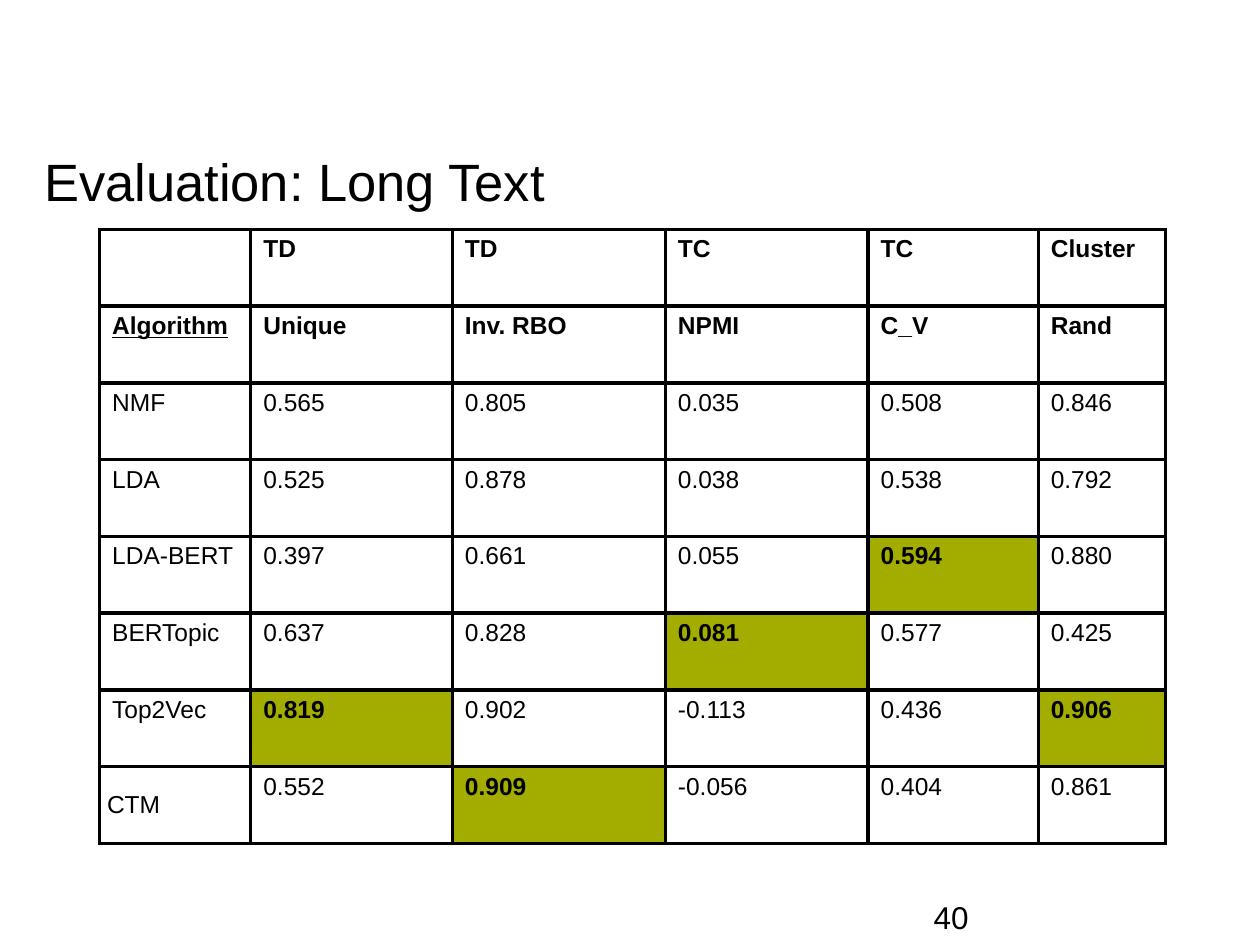
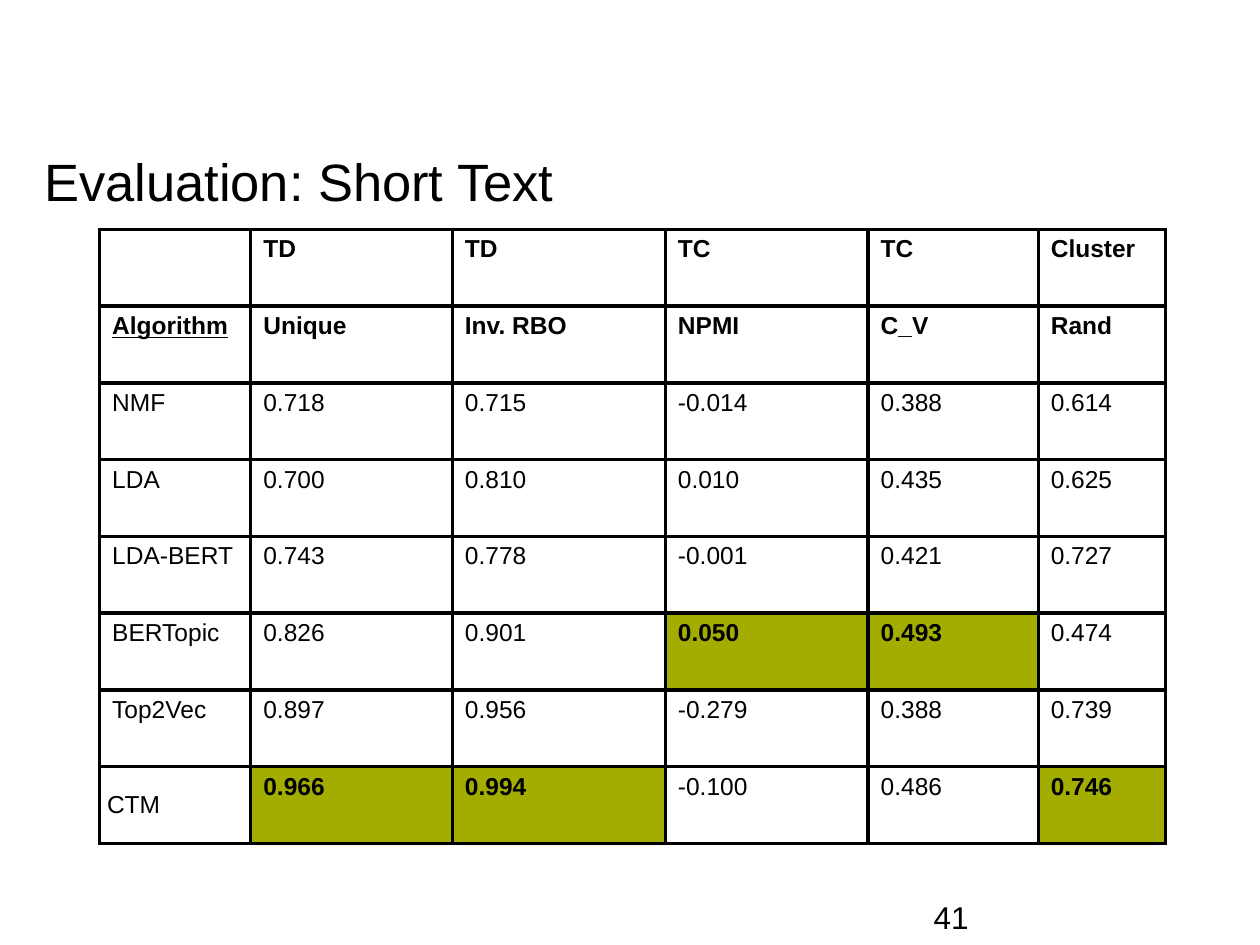
"""Build two slides comparing topic-model scores on long and short texts."""
from lxml import etree
from pptx import Presentation
from pptx.dml.color import RGBColor
from pptx.enum import text
from pptx.oxml import ns
from pptx.util import Pt

HEADERS = [
    ("", "TD", "TD", "TC", "TC", "Cluster"),
    ("Algorithm", "Unique", "Inv. RBO", "NPMI", "C_V", "Rand"),
]
ALGORITHMS = ["NMF", "LDA", "LDA-BERT", "BERTopic", "Top2Vec", "CTM"]
EVALUATIONS = [
    {"title": "Evaluation: Long Text", "number": 40, "scores": [
        (0.565, 0.805, 0.035, 0.508, 0.846),
        (0.525, 0.878, 0.038, 0.538, 0.792),
        (0.397, 0.661, 0.055, 0.594, 0.880),
        (0.637, 0.828, 0.081, 0.577, 0.425),
        (0.819, 0.902, -0.113, 0.436, 0.906),
        (0.552, 0.909, -0.056, 0.404, 0.861),
    ]},
    {"title": "Evaluation: Short Text", "number": 41, "scores": [
        (0.718, 0.715, -0.014, 0.388, 0.614),
        (0.700, 0.810, 0.010, 0.435, 0.625),
        (0.743, 0.778, -0.001, 0.421, 0.727),
        (0.826, 0.901, 0.050, 0.493, 0.474),
        (0.897, 0.956, -0.279, 0.388, 0.739),
        (0.966, 0.994, -0.100, 0.486, 0.746),
    ]},
]

COLOURS = {"text": "000000", "border": "000000", "best": "A2AD00"}
FONT = "Arial"
TITLE_BOX = (25.2, 79.2, 669.6, 32.4)
NUMBER_BOX = (533.5, 509.8, 161.3, 28.8)
TABLE_LEFT, TABLE_TOP = 56.9, 131
COLUMN_WIDTHS = [86.4, 115.2, 121.7, 115.9, 97.2, 72.7]
ROW_HEIGHT = 43.9
BORDER_WIDTH = 2.21

TITLE_FRAME = {"margin_left": 0, "margin_right": 0, "margin_top": Pt(3.6),
               "margin_bottom": 0, "word_wrap": True,
               "vertical_anchor": text.MSO_ANCHOR.TOP,
               "auto_size": text.MSO_AUTO_SIZE.NONE}
NUMBER_FRAME = {"margin_left": 0, "margin_right": 0, "word_wrap": True,
                "vertical_anchor": text.MSO_ANCHOR.MIDDLE}
CELL_FORMAT = {"margin_left": Pt(7.2), "margin_right": Pt(7.2),
               "margin_top": Pt(3.6), "margin_bottom": Pt(3.6)}
LAST_NAME_FORMAT = {"margin_left": Pt(4.3), "margin_right": Pt(4.3),
                    "vertical_anchor": text.MSO_ANCHOR.MIDDLE}


def apply(target, values):
    for name, value in values.items():
        setattr(target, name, value)


def write(paragraph, words, size, **styles):
    paragraph.alignment = text.PP_ALIGN.LEFT
    run = paragraph.add_run()
    run.text = words
    apply(run.font, {"name": FONT, "size": Pt(size), **styles})
    run.font.color.rgb = RGBColor.from_string(COLOURS["text"])


def draw_borders(cell):
    properties = cell._tc.get_or_add_tcPr()
    for position, side in enumerate(("lnL", "lnR", "lnT", "lnB")):
        line = etree.Element(ns.qn(f"a:{side}"), w=str(Pt(BORDER_WIDTH)))
        fill = etree.SubElement(line, ns.qn("a:solidFill"))
        etree.SubElement(fill, ns.qn("a:srgbClr"), val=COLOURS["border"])
        properties.insert(position, line)


def add_title(slide, words):
    title = slide.shapes.title
    apply(title, dict(zip(("left", "top", "width", "height"), map(Pt, TITLE_BOX))))
    apply(title.text_frame, TITLE_FRAME)
    paragraph = title.text_frame.paragraphs[0]
    paragraph.line_spacing = 1.06
    write(paragraph, words, 30)


def add_number(slide, number):
    frame = slide.shapes.add_textbox(*map(Pt, NUMBER_BOX)).text_frame
    apply(frame, NUMBER_FRAME)
    write(frame.paragraphs[0], str(number), 18)


def add_scores(slide, scores):
    best = [max(column) for column in zip(*scores)]
    rows = HEADERS + [(name, *values) for name, values in zip(ALGORITHMS, scores)]
    table = slide.shapes.add_table(
        len(rows), len(COLUMN_WIDTHS), Pt(TABLE_LEFT), Pt(TABLE_TOP),
        Pt(sum(COLUMN_WIDTHS)), Pt(ROW_HEIGHT * len(rows))).table
    apply(table, {"first_row": False, "horz_banding": False})
    for column, width in zip(table.columns, COLUMN_WIDTHS):
        column.width = Pt(width)
    for row_index, row in enumerate(rows):
        for column_index, value in enumerate(row):
            cell = table.cell(row_index, column_index)
            is_score = isinstance(value, float)
            is_best = is_score and value == best[column_index - 1]
            apply(cell, CELL_FORMAT)
            if value == ALGORITHMS[-1]:
                apply(cell, LAST_NAME_FORMAT)
            if is_best:
                cell.fill.solid()
                cell.fill.fore_color.rgb = RGBColor.from_string(COLOURS["best"])
            else:
                cell.fill.background()
            draw_borders(cell)
            if value != "":
                write(cell.text_frame.paragraphs[0],
                      f"{value:.3f}" if is_score else value, 14,
                      bold=is_best or row_index < len(HEADERS),
                      underline=value == "Algorithm")


def main():
    presentation = Presentation()
    apply(presentation, {"slide_width": Pt(720), "slide_height": Pt(540)})
    for evaluation in EVALUATIONS:
        slide = presentation.slides.add_slide(presentation.slide_layouts[5])
        add_number(slide, evaluation["number"])
        add_title(slide, evaluation["title"])
        add_scores(slide, evaluation["scores"])
    presentation.save("out.pptx")


if __name__ == "__main__":
    main()
